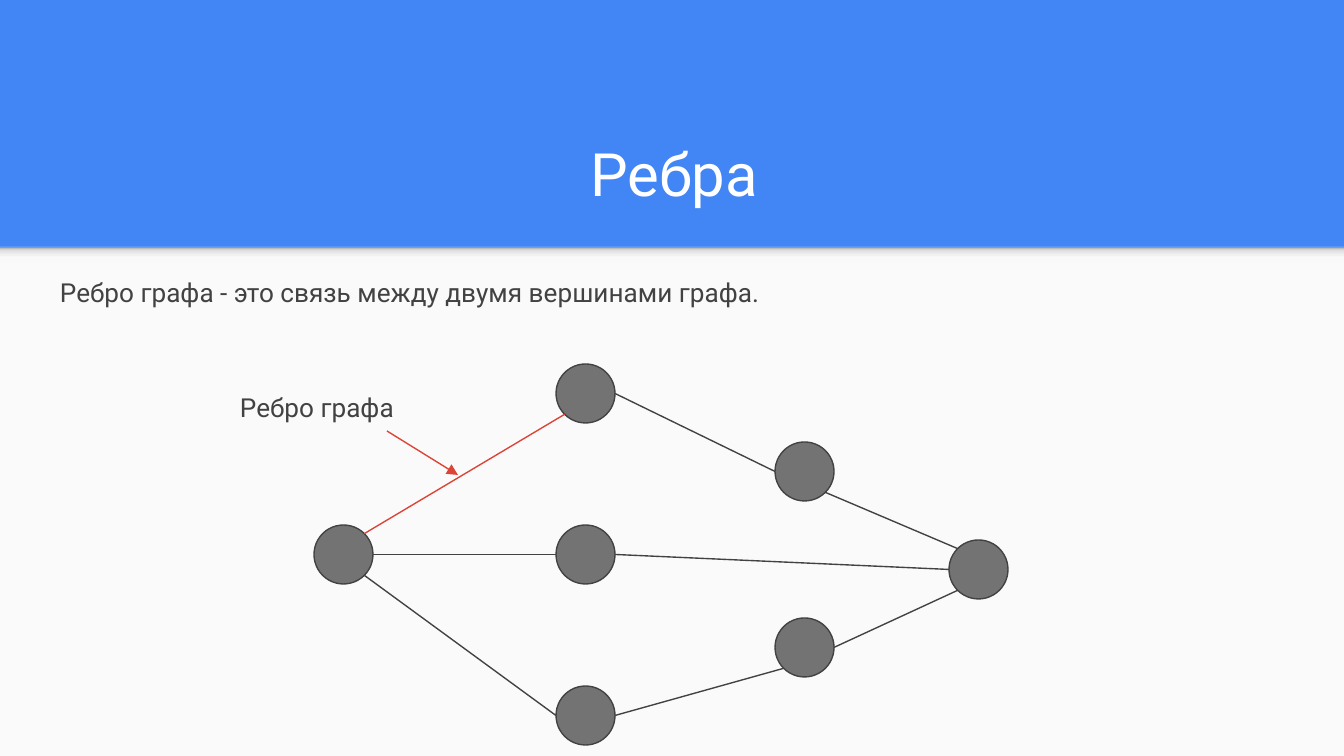
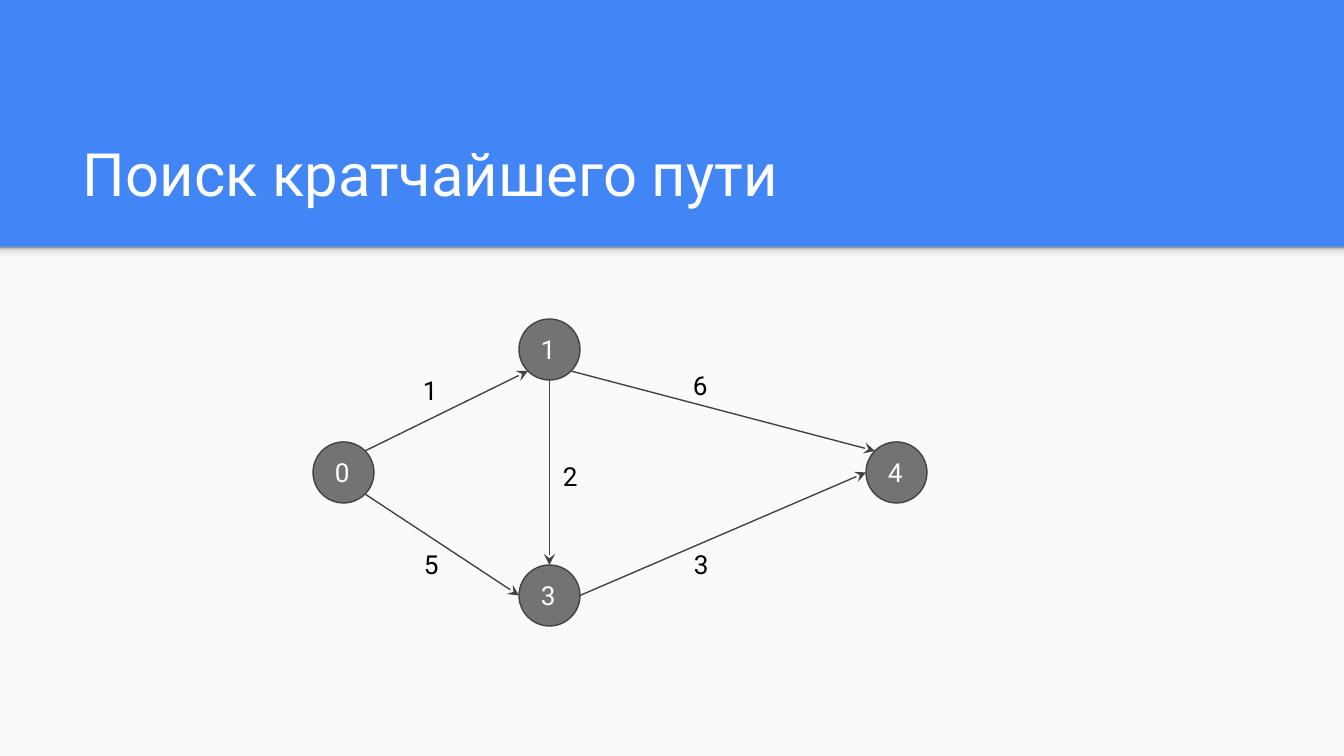
"""Build two slides about graphs: edges and the shortest path."""
from copy import deepcopy
from dataclasses import dataclass
from math import sqrt

from lxml import etree
from pptx import Presentation
from pptx import util as u
from pptx.dml.color import RGBColor
from pptx.enum import shapes, text
from pptx.oxml.ns import qn

PX = 914400 / 134.4
WIDTH, HEIGHT = 1344, 756
BAND_BOTTOM = 247
SHADOW_HEIGHT = 16
INSET = 13
FONT = "Roboto"
COLORS = {
    "blue": "4285F4",
    "paper": "FAFAFA",
    "node": "737373",
    "dark": "424242",
    "red": "DB4437",
    "white": "FFFFFF",
    "black": "000000",
}
SHADOW_STOPS = [(0, "F9F9F9"), (0.36, "F9F9F9"), (0.8, "DEDEDE"), (1, "999999")]
DIAGONAL = sqrt(0.5)
SITES = {
    "n": (0, -1),
    "ne": (DIAGONAL, -DIAGONAL),
    "e": (1, 0),
    "se": (DIAGONAL, DIAGONAL),
    "s": (0, 1),
    "sw": (-DIAGONAL, DIAGONAL),
    "w": (-1, 0),
    "nw": (-DIAGONAL, -DIAGONAL),
}


@dataclass
class Node:
    x: int
    y: int
    size: int
    label: str = ""

    def site(self, name: str) -> tuple[float, float]:
        """Return the point of the rim that lies in a compass direction."""
        r = self.size / 2
        dx, dy = SITES[name]
        return self.x + r + r * dx, self.y + r + r * dy


@dataclass
class Edge:
    start: str
    start_site: str
    end: str
    end_site: str
    color: str = "dark"


@dataclass
class Label:
    text: str
    x: int
    y: int
    w: int
    h: int
    size: int = 14
    color: str = "dark"
    align: text.PP_ALIGN = text.PP_ALIGN.LEFT
    anchor: text.MSO_ANCHOR = text.MSO_ANCHOR.TOP


def emu(px: float) -> u.Emu:
    """Turn pixels into EMU."""
    return u.Emu(round(px * PX))


def rgb(name: str) -> RGBColor:
    """Look up a named colour."""
    return RGBColor.from_string(COLORS[name])


def write(sp, label: Label) -> None:
    """Put one formatted paragraph into a shape."""
    tf = sp.text_frame
    tf.word_wrap = True
    tf.vertical_anchor = label.anchor
    tf.margin_left = tf.margin_right = tf.margin_top = tf.margin_bottom = emu(INSET)
    p = tf.paragraphs[0]
    p.text = label.text
    p.alignment = label.align
    p.font.name = FONT
    p.font.size = u.Pt(label.size)
    p.font.color.rgb = rgb(label.color)


def add_label(parent, label: Label) -> None:
    """Add a text box."""
    sp = parent.add_textbox(*map(emu, (label.x, label.y, label.w, label.h)))
    write(sp, label)


def add_rect(s, y: int, h: int):
    """Add a full-width rectangle without outline."""
    sp = s.shapes.add_shape(shapes.MSO_SHAPE.RECTANGLE, 0, emu(y), emu(WIDTH), emu(h))
    sp.shadow.inherit = False
    sp.line.fill.background()
    return sp


def add_slide(prs, title: str, align: text.PP_ALIGN):
    """Add a slide with the blue band, its soft lower edge and a title."""
    s = prs.slides.add_slide(prs.slide_layouts[6])
    s.background.fill.solid()
    s.background.fill.fore_color.rgb = rgb("blue")

    body = add_rect(s, BAND_BOTTOM, HEIGHT - BAND_BOTTOM)
    body.fill.solid()
    body.fill.fore_color.rgb = rgb("paper")

    fill = add_rect(s, BAND_BOTTOM, SHADOW_HEIGHT)
    gradient = fill.fill
    gradient.gradient()
    gradient.gradient_angle = 90
    stop_list = fill._element.spPr.find(".//" + qn("a:gsLst"))
    for stop in list(stop_list):
        stop_list.append(deepcopy(stop))
    for stop, (position, color) in zip(gradient.gradient_stops, SHADOW_STOPS):
        stop.position = position
        stop.color.rgb = RGBColor.from_string(color)

    add_label(s.shapes, Label(title, 70, 109, 1208, 113, 32, "white", align,
                              text.MSO_ANCHOR.BOTTOM))
    return s


def add_node(parent, node: Node) -> None:
    """Add a round graph node, with its label if it has one."""
    sp = parent.add_shape(shapes.MSO_SHAPE.OVAL,
                          *map(emu, (node.x, node.y, node.size, node.size)))
    sp.shadow.inherit = False
    sp.fill.solid()
    sp.fill.fore_color.rgb = rgb("node")
    sp.line.color.rgb = rgb("dark")
    sp.line.width = u.Pt(0.75)
    if node.label:
        write(sp, Label(node.label, node.x, node.y, node.size, node.size,
                        color="white", anchor=text.MSO_ANCHOR.MIDDLE))


def add_line(parent, start: tuple[float, float], end: tuple[float, float],
             color: str, head: str = "") -> None:
    """Add a straight line, with an arrowhead at its end if one is named."""
    c = parent.add_connector(shapes.MSO_CONNECTOR.STRAIGHT, *map(emu, start + end))
    c.line.color.rgb = rgb(color)
    c.line.width = u.Pt(0.75)
    sp_pr = c._element.spPr
    if head:
        etree.SubElement(sp_pr.find(qn("a:ln")), qn("a:tailEnd"), type=head)
    etree.SubElement(sp_pr, qn("a:effectLst"))


def add_graph(s, nodes: dict[str, Node], edges: list[Edge], head: str = ""):
    """Add a group of nodes joined by edges."""
    group = s.shapes.add_group_shape().shapes
    for node in nodes.values():
        add_node(group, node)
    for e in edges:
        add_line(group, nodes[e.start].site(e.start_site),
                 nodes[e.end].site(e.end_site), e.color, head)
    return group


def build_edges_slide(prs) -> None:
    """Build the slide that explains what an edge is."""
    s = add_slide(prs, "Ребра", text.PP_ALIGN.CENTER)
    places = {
        "left": (314, 525),
        "top": (556, 364),
        "middle": (556, 525),
        "bottom": (556, 686),
        "upper": (775, 442),
        "lower": (775, 618),
        "right": (949, 540),
    }
    nodes = {name: Node(x, y, 59) for name, (x, y) in places.items()}
    add_graph(s, nodes, [
        Edge("left", "ne", "top", "sw", "red"),
        Edge("left", "se", "bottom", "w"),
        Edge("left", "e", "middle", "w"),
        Edge("top", "e", "upper", "w"),
        Edge("middle", "e", "right", "w"),
        Edge("bottom", "e", "lower", "sw"),
        Edge("upper", "se", "right", "nw"),
        Edge("lower", "e", "right", "sw"),
    ])
    add_line(s.shapes, (387, 431), (458, 475), "red", "triangle")
    add_label(s.shapes, Label("Ребро графа", 227, 378, 276, 65))
    add_label(s.shapes, Label("Ребро графа - это связь между двумя вершинами графа.",
                              47, 263, 1282, 98))


def build_path_slide(prs) -> None:
    """Build the slide with the weighted directed graph."""
    s = add_slide(prs, "Поиск кратчайшего пути", text.PP_ALIGN.LEFT)
    places = {"0": (313, 442), "1": (519, 319), "3": (519, 565), "4": (866, 442)}
    nodes = {name: Node(x, y, 61, name) for name, (x, y) in places.items()}
    group = add_graph(s, nodes, [
        Edge("0", "ne", "1", "sw"),
        Edge("1", "se", "4", "nw"),
        Edge("3", "e", "4", "w"),
        Edge("0", "se", "3", "w"),
        Edge("1", "s", "3", "n"),
    ], "stealth")
    weights = [("1", 410, 361), ("2", 550, 447), ("5", 411, 535),
               ("6", 680, 356), ("3", 681, 535)]
    for weight, x, y in weights:
        add_label(group, Label(weight, x, y, 47, 50, color="black"))


def main() -> None:
    """Create the presentation and save it."""
    prs = Presentation()
    prs.slide_width, prs.slide_height = emu(WIDTH), emu(HEIGHT)
    build_edges_slide(prs)
    build_path_slide(prs)
    prs.save("out.pptx")


main()
